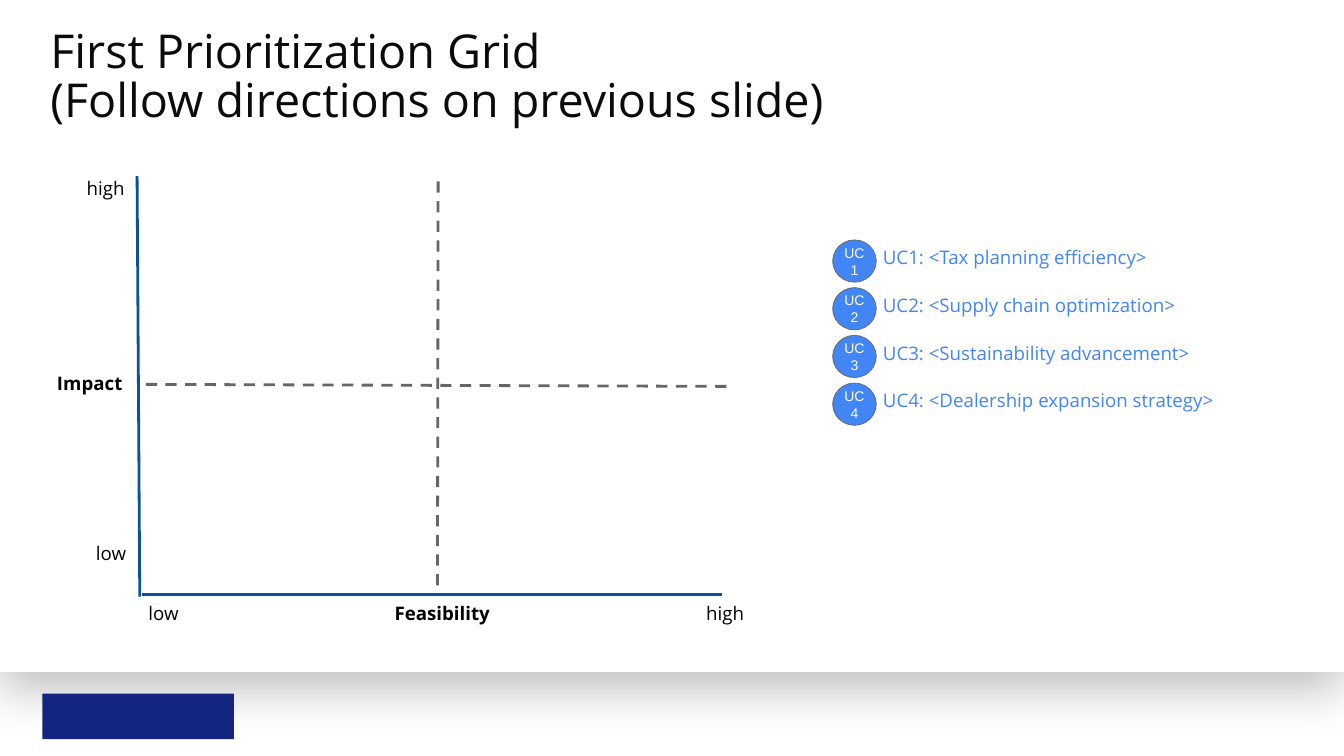
import pptx
import pptx.util
import pptx.oxml
import pptx.oxml.ns
import pptx.dml.color
import pptx.enum.dml
import pptx.enum.shapes
import pptx.enum.text

Inches = pptx.util.Inches
Pt = pptx.util.Pt
RGBColor = pptx.dml.color.RGBColor
Shape = pptx.enum.shapes.MSO_SHAPE
Align = pptx.enum.text.PP_ALIGN
Anchor = pptx.enum.text.MSO_ANCHOR
DASH = pptx.enum.dml.MSO_LINE.DASH

WHITE = RGBColor(0xFF, 0xFF, 0xFF)
BLACK = RGBColor(0, 0, 0)
INK = RGBColor(0x0B, 0x0B, 0x0B)
NAVY = RGBColor(0x14, 0x25, 0x7F)
BLUE = RGBColor(0x42, 0x85, 0xF4)
AXIS = RGBColor(0x0B, 0x53, 0x94)
GRAY = RGBColor(0x66, 0x66, 0x66)

deck = pptx.Presentation()
deck.slide_width = Inches(20)
deck.slide_height = Inches(11.25)
slide = deck.slides.add_slide(deck.slide_layouts[6])
shapes = slide.shapes


def add_form(kind, left, top, width, height, fill):
    form = shapes.add_shape(kind, Inches(left), Inches(top), Inches(width), Inches(height))
    form.shadow.inherit = False
    form.fill.solid()
    form.fill.fore_color.rgb = fill
    form.line.fill.background()
    return form


def write(frame, text, size, color, font="Open Sans", bold=False, align=Align.LEFT, inset=0.1):
    frame.word_wrap = True
    frame.margin_left = frame.margin_right = Inches(inset)
    frame.margin_top = frame.margin_bottom = Inches(inset)
    frame.text = text
    for para in frame.paragraphs:
        para.alignment = align
        para.font.size = Pt(size)
        para.font.name = font
        para.font.bold = bold
        para.font.color.rgb = color


panel = add_form(Shape.RECTANGLE, 0, 0, 20, 10, WHITE)
effects = panel._element.spPr.find(pptx.oxml.ns.qn("a:effectLst"))
effects.append(pptx.oxml.parse_xml(
    f'<a:outerShdw {pptx.oxml.ns.nsdecls("a")} blurRad="{Pt(56.2)}" dist="{Pt(18.8)}" '
    'dir="5400000" algn="ctr" rotWithShape="0">'
    '<a:srgbClr val="000000"><a:alpha val="25000"/></a:srgbClr></a:outerShdw>'))
add_form(Shape.RECTANGLE, 0.63, 10.32, 2.85, 0.68, NAVY)

title = shapes.add_textbox(Inches(0.75), Inches(0.34), Inches(18.5), Inches(1.65))
title.text_frame.vertical_anchor = Anchor.MIDDLE
write(title.text_frame, "First Prioritization Grid\n(Follow directions on previous slide)", 50, INK, inset=0)
for para in title.text_frame.paragraphs:
    para.line_spacing = 0.88

cases = [
    ("Tax planning efficiency", 4.64),
    ("Supply chain optimization", 4.64),
    ("Sustainability advancement", 5.02),
    ("Dealership expansion strategy", 5.21),
]
for i, (name, width) in enumerate(cases):
    top = 3.57 + 0.71 * i
    dot = add_form(Shape.OVAL, 12.39, top, 0.65, 0.63, BLUE)
    dot.line.color.rgb = GRAY
    dot.line.width = Pt(0.75)
    dot.text_frame.vertical_anchor = Anchor.MIDDLE
    write(dot.text_frame, f"UC\v{i + 1}", 15, WHITE, "Arial", align=Align.CENTER, inset=0)
    label = shapes.add_textbox(Inches(13.04), Inches(top - 0.01), Inches(width), Inches(0.78))
    write(label.text_frame, f"UC{i + 1}: <{name}>", 20, BLUE)

lines = [
    (6.52, 2.7, 6.51, 8.71, GRAY, DASH),
    (2.17, 5.72, 10.88, 5.75, GRAY, DASH),
    (2.04, 2.62, 2.08, 8.88, AXIS, None),
    (10.74, 8.85, 2.11, 8.85, AXIS, None),
]
for x1, y1, x2, y2, color, dash in lines:
    line = shapes.add_connector(
        pptx.enum.shapes.MSO_CONNECTOR.STRAIGHT, Inches(x1), Inches(y1), Inches(x2), Inches(y2))
    line.line.color.rgb = color
    line.line.width = Pt(3)
    line.line.dash_style = dash
    line._element.spPr.append(pptx.oxml.parse_xml(f'<a:effectLst {pptx.oxml.ns.nsdecls("a")}/>'))

marks = [
    ("Impact", 0.75, 5.43, 1.43, 0.78, True, Align.LEFT),
    ("Feasibility", 3.62, 8.85, 5.92, 0.78, True, Align.CENTER),
    ("low", 2.11, 8.85, 1.14, 0.4, False, Align.LEFT),
    ("low", 1.33, 7.96, 1.14, 0.4, False, Align.LEFT),
    ("high", 10.41, 8.85, 1.39, 0.29, False, Align.LEFT),
    ("high", 1.19, 2.53, 1.39, 0.29, False, Align.LEFT),
]
for text, left, top, width, height, bold, align in marks:
    mark = shapes.add_textbox(Inches(left), Inches(top), Inches(width), Inches(height))
    write(mark.text_frame, text, 20, BLACK, bold=bold, align=align)

deck.save("out.pptx")
